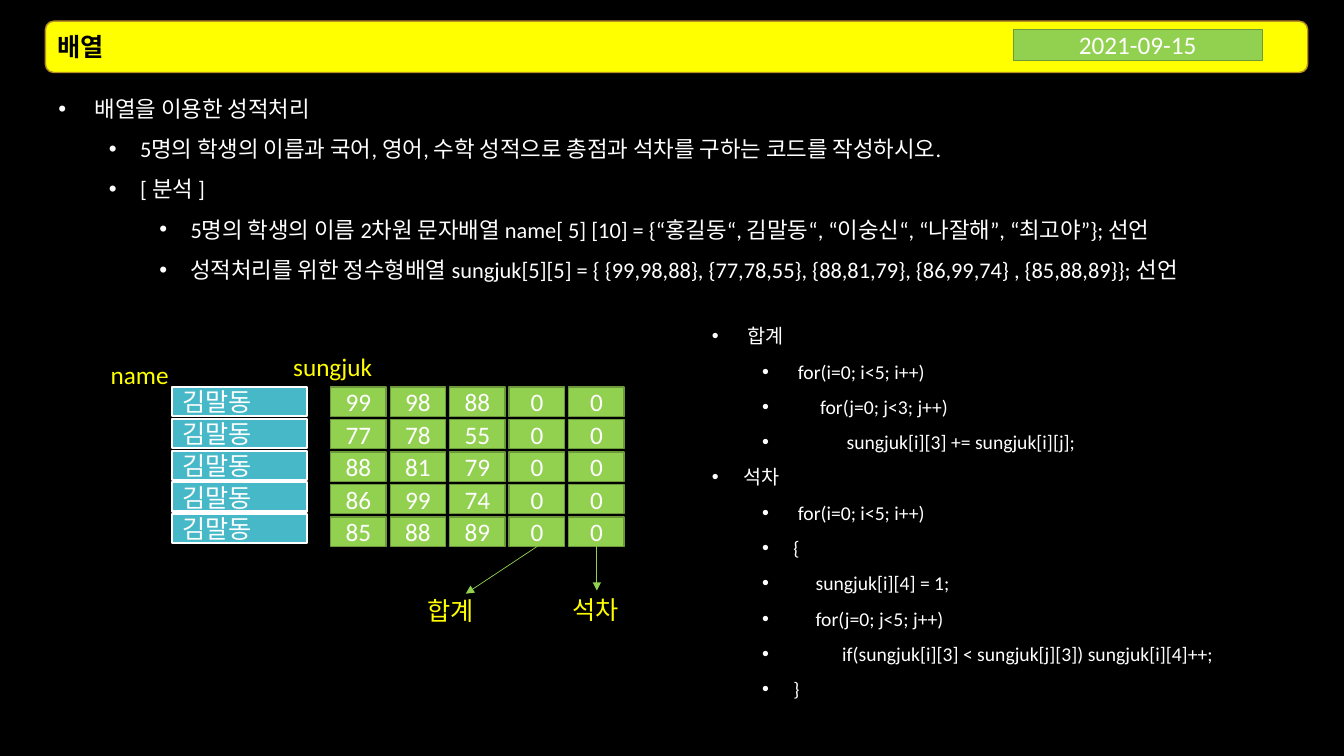
from dataclasses import dataclass

from lxml.etree import SubElement
from pptx import Presentation
from pptx.dml.color import RGBColor
from pptx.enum.shapes import MSO_CONNECTOR, MSO_SHAPE
from pptx.enum.text import MSO_ANCHOR, MSO_AUTO_SIZE, PP_ALIGN
from pptx.oxml.ns import qn
from pptx.util import Inches, Pt


@dataclass(frozen=True)
class Theme:
    font: str = "Calibri"
    black: str = "000000"
    white: str = "FFFFFF"
    yellow: str = "FFFF00"
    gold: str = "B79024"
    teal: str = "47B8C7"
    green: str = "92D050"
    dark_green: str = "6C9A3B"
    large: int = 18
    body: int = 16
    code: int = 14


THEME = Theme()

TASK = [
    (0, " 배열을 이용한 성적처리"),
    (1, "5명의 학생의 이름과 국어, 영어, 수학 성적으로 총점과 석차를 구하는 코드를 작성하시오."),
    (1, "[ 분석 ]"),
    (2, "5명의 학생의 이름 2차원 문자배열 name[ 5] [10] = "
        "{“홍길동“, 김말동“, “이숭신“, “나잘해”, “최고야”}; 선언"),
    (2, "성적처리를 위한 정수형배열 sungjuk[5][5] = "
        "{ {99,98,88}, {77,78,55}, {88,81,79}, {86,99,74} , {85,88,89}}; 선언"),
]
CODE = [
    (0, " 합계"),
    (1, " for(i=0; i<5; i++)"),
    (1, "      for(j=0; j<3; j++)"),
    (1, "            sungjuk[i][3] += sungjuk[i][j];"),
    (0, "석차"),
    (1, " for(i=0; i<5; i++)"),
    (1, "{"),
    (1, "     sungjuk[i][4] = 1;"),
    (1, "     for(j=0; j<5; j++)"),
    (1, "           if(sungjuk[i][3] < sungjuk[j][3]) sungjuk[i][4]++;"),
    (1, "}"),
]
NAMES = [["김말동"]] * 5
SCORES = [
    [99, 98, 88, 0, 0],
    [77, 78, 55, 0, 0],
    [88, 81, 79, 0, 0],
    [86, 99, 74, 0, 0],
    [85, 88, 89, 0, 0],
]


def color(value):
    return RGBColor.from_string(value)


def write(para, text, size=THEME.large, ink=THEME.white, bold=False, align=PP_ALIGN.LEFT):
    para.alignment = align
    span = para.add_run()
    span.text = text
    span.font.name = THEME.font
    span.font.size = Pt(size)
    span.font.bold = bold
    span.font.color.rgb = color(ink)
    # The same face for Korean keeps the curly quotes narrow
    SubElement(span._r.get_or_add_rPr(), qn("a:ea"), typeface=THEME.font)


def paint(shape, fill, line, width=1):
    shape.fill.solid()
    shape.fill.fore_color.rgb = color(fill)
    shape.line.color.rgb = color(line)
    shape.line.width = Pt(width)


def place(holder, left, top, width, height, anchor):
    """Move a placeholder and give it plain text settings."""
    holder.left, holder.top = Inches(left), Inches(top)
    holder.width, holder.height = Inches(width), Inches(height)
    frame = holder.text_frame
    frame.auto_size = MSO_AUTO_SIZE.NONE
    frame.word_wrap = True
    frame.vertical_anchor = anchor
    frame.margin_right = Inches(0)


def add_bullets(holder, lines, size):
    frame = holder.text_frame
    for index, (level, text) in enumerate(lines):
        para = frame.add_paragraph() if index else frame.paragraphs[0]
        para.level = level
        para.line_spacing = 1.5
        para.space_before = para.space_after = Pt(0)
        properties = para._p.get_or_add_pPr()
        properties.set("marL", str(Inches(0.31 + 0.5 * level)))
        properties.set("indent", str(Inches(-0.31)))
        SubElement(properties, qn("a:buFont"), typeface="Arial")
        SubElement(properties, qn("a:buChar"), char="•")
        write(para, text, size=size)


def add_panel(shapes, preset, left, top, width, height, fill, line, line_width=1):
    panel = shapes.add_shape(preset, Inches(left), Inches(top),
                             Inches(width), Inches(height))
    panel.shadow.inherit = False
    paint(panel, fill, line, line_width)
    return panel


def add_cell(shapes, text, left, top, width, height, fill=THEME.green,
             line=THEME.dark_green, line_width=1, align=PP_ALIGN.CENTER):
    box = add_panel(shapes, MSO_SHAPE.RECTANGLE, left, top, width, height,
                    fill, line, line_width)
    box.text_frame.word_wrap = True
    box.text_frame.vertical_anchor = MSO_ANCHOR.MIDDLE
    write(box.text_frame.paragraphs[0], text, align=align)


def add_grid(shapes, rows, left, width, last_top, **style):
    """Lay rows of cells evenly from the common first row to last_top."""
    first_top, gap = 3.84, 0.04
    pitch = (last_top - first_top) / (len(rows) - 1)
    for row, values in enumerate(rows):
        for column, value in enumerate(values):
            add_cell(shapes, str(value), left + column * (width + gap),
                     first_top + row * pitch, width, 0.29, **style)


def add_label(shapes, text, left, top, width):
    box = shapes.add_textbox(Inches(left), Inches(top), Inches(width), Inches(0.4))
    box.text_frame.word_wrap = True
    box.text_frame.auto_size = MSO_AUTO_SIZE.SHAPE_TO_FIT_TEXT
    write(box.text_frame.paragraphs[0], text, ink=THEME.yellow)


def add_arrow(shapes, start, end):
    arrow = shapes.add_connector(MSO_CONNECTOR.STRAIGHT,
                                 *(Inches(value) for value in start + end))
    arrow.line.color.rgb = color(THEME.green)
    arrow.line.width = Pt(0.5)
    SubElement(arrow.line._get_or_add_ln(), qn("a:tailEnd"), type="triangle")
    SubElement(arrow.element.spPr, qn("a:effectLst"))


def main():
    deck = Presentation()
    deck.slide_width, deck.slide_height = Inches(13.33), Inches(7.5)
    page = deck.slides.add_slide(deck.slide_layouts.get_by_name("Two Content"))
    page.background.fill.solid()
    page.background.fill.fore_color.rgb = color(THEME.black)
    title, task, code = page.placeholders

    # Title on its rounded bar
    bar = add_panel(page.shapes, MSO_SHAPE.ROUNDED_RECTANGLE, 0.45, 0.21, 12.52, 0.51,
                    THEME.yellow, THEME.gold)
    title.element.addprevious(bar.element)
    place(title, 0.47, 0.21, 9.5, 0.51, MSO_ANCHOR.MIDDLE)
    write(title.text_frame.paragraphs[0], "배열", ink=THEME.black, bold=True)
    add_cell(page.shapes, "2021-09-15", 10.05, 0.29, 2.47, 0.31)

    # Task and code lists
    place(task, 0.48, 0.76, 12.49, 6.46, MSO_ANCHOR.TOP)
    place(code, 6.96, 3.05, 5.56, 4.09, MSO_ANCHOR.TOP)
    for holder, lines, size in ((task, TASK, THEME.body), (code, CODE, THEME.code)):
        paint(holder, THEME.black, THEME.black)
        add_bullets(holder, lines, size)

    # Array diagram
    diagram = page.shapes.add_group_shape().shapes
    add_grid(diagram, NAMES, 1.71, 1.34, 5.1, fill=THEME.teal, line=THEME.white,
             line_width=1.5, align=PP_ALIGN.LEFT)
    add_grid(diagram, SCORES, 3.28, 0.55, 5.13)
    add_label(diagram, "name", 1, 3.52, 0.94)
    add_label(diagram, "sungjuk", 2.81, 3.44, 1.13)

    # Column meanings
    add_arrow(diagram, (5.33, 5.42), (4.62, 5.89))
    add_label(diagram, "합계", 4.14, 5.86, 0.79)
    add_arrow(diagram, (5.92, 5.42), (5.92, 5.86))
    add_label(diagram, "석차", 5.58, 5.85, 0.79)

    deck.save("out.pptx")


if __name__ == "__main__":
    main()
